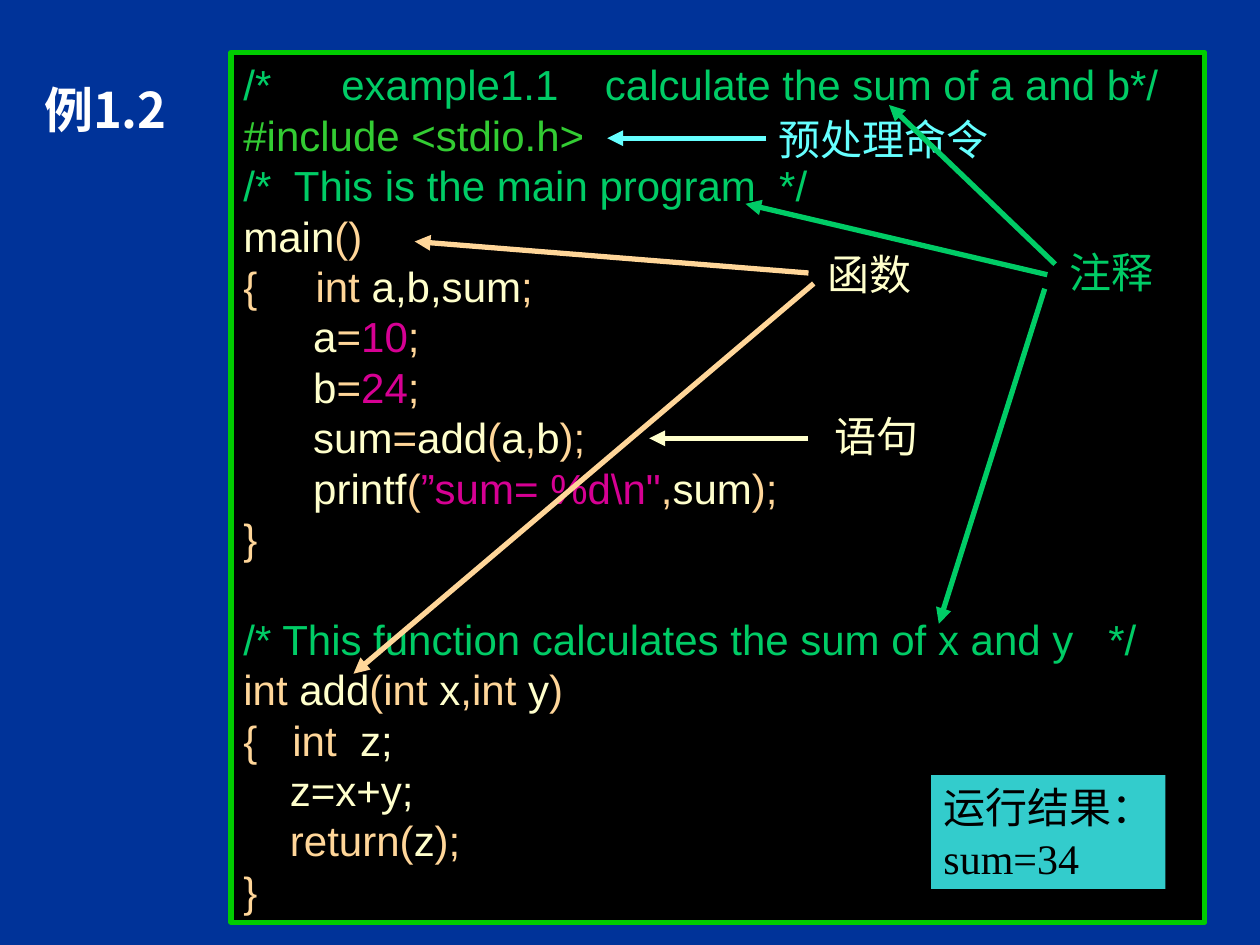
import dataclasses

import pptx
import pptx.dml.color
import pptx.enum.shapes
import pptx.enum.text
import pptx.oxml.ns
import pptx.util
from lxml import etree

Pt = pptx.util.Pt
qn = pptx.oxml.ns.qn
ALIGN = pptx.enum.text.PP_ALIGN


@dataclasses.dataclass(frozen=True)
class Theme:
    background: str = "003399"
    panel: str = "000000"
    frame: str = "00CC00"
    result: str = "33CCCC"
    title: str = "FFFFFF"
    comment: str = "00CC66"
    include: str = "33CC33"
    name: str = "FFFFCC"
    syntax: str = "FFD699"
    literal: str = "D60093"
    directive: str = "66FFFF"
    ink: str = "000000"
    title_size: int = 28
    body_size: int = 24
    leading: float = 1.2
    line_width: int = 3
    code_font: str = "Arial"
    label_font: str = "Times New Roman"
    cjk_font: str = "Noto Sans CJK SC"


T = Theme()

CODE = [
    [("/*      example1.1    calculate the sum of a and b*/", T.comment)],
    [("#include <stdio.h>", T.include)],
    [("/*  This is the main program  */", T.comment)],
    [("main", T.name), ("()", T.syntax)],
    [("{     int ", T.syntax), ("a,b,sum", T.name), (";", T.syntax)],
    [("      a", T.name), ("=", T.syntax), ("10", T.literal), (";", T.syntax)],
    [("      b", T.name), ("=", T.syntax), ("24", T.literal), (";", T.syntax)],
    [("      sum", T.name), ("=", T.syntax), ("add", T.name), ("(", T.syntax),
     ("a", T.name), (",", T.syntax), ("b", T.name), (");", T.syntax)],
    [("      printf", T.name), ("(", T.syntax), ("”sum= %d\\n\"", T.literal),
     (",", T.syntax), ("sum", T.name), (");", T.syntax)],
    [("}", T.syntax)],
    [],
    [("/* This function calculates the sum of x and y   */", T.comment)],
    [("int ", T.syntax), ("add", T.name), ("(int ", T.syntax), ("x", T.name),
     (",int ", T.syntax), ("y", T.name), (")", T.syntax)],
    [("{   int ", T.syntax), (" z;", T.name)],
    [("    z=x+y;", T.name)],
    [("    return(", T.syntax), ("z", T.name), (");", T.syntax)],
    [("}", T.syntax)],
]

CALLOUTS = [
    ("函数", (466, 138.5, 62, 36), T.name, T.syntax,
     [(462, 156, 237, 138), (465, 162, 202, 385)]),
    ("语句", (470, 231, 62, 36), T.name, T.name,
     [(462, 250.5, 371, 250.5)]),
    ("预处理命令", (438, 61, 134, 36), T.directive, T.directive,
     [(438, 79, 347, 79)]),
    ("注释", (604, 137.5, 62, 36), T.comment, T.comment,
     [(603, 151, 508, 60), (598.5, 157, 426, 116.5), (597, 165, 536.5, 356.5)]),
]


def rgb(value):
    return pptx.dml.color.RGBColor.from_string(value)


def write(sp, lines, size=T.body_size, font=T.label_font, bold=False,
          align=ALIGN.LEFT, wrap=True):
    tf = sp.text_frame
    tf.word_wrap = wrap
    tf.auto_size = pptx.enum.text.MSO_AUTO_SIZE.NONE
    tf.vertical_anchor = pptx.enum.text.MSO_ANCHOR.MIDDLE
    tf.margin_left = tf.margin_right = Pt(7.2)
    tf.margin_top = tf.margin_bottom = Pt(3.6)
    for i, runs in enumerate(lines):
        p = tf.paragraphs[0] if i == 0 else tf.add_paragraph()
        p.alignment = align
        p.line_spacing = Pt(size * T.leading)
        p.space_before = p.space_after = Pt(0)
        p.font.size = Pt(size)
        for text, color in runs:
            r = p.add_run()
            r.text = text
            r.font.size = Pt(size)
            r.font.name = font
            r.font.bold = bold
            r.font.color.rgb = rgb(color)
            latin = r.font._element.find(qn("a:latin"))
            ea = etree.Element(qn("a:ea"), typeface=T.cjk_font)
            latin.addnext(ea)


def add_title(s, text, box):
    sp = s.shapes.title
    sp.left, sp.top, sp.width, sp.height = map(Pt, box)
    write(sp, [[(text, T.title)]], size=T.title_size, font=T.cjk_font, bold=True)


def add_panel(s, box, fill, line=None):
    sp = s.shapes.add_shape(pptx.enum.shapes.MSO_SHAPE.RECTANGLE, *map(Pt, box))
    sp.shadow.inherit = False
    sp.fill.solid()
    sp.fill.fore_color.rgb = rgb(fill)
    if line:
        sp.line.color.rgb = rgb(line)
        sp.line.width = Pt(T.line_width)
    else:
        sp.line.fill.background()
    return sp


def add_arrow(s, ends, color):
    cx = s.shapes.add_connector(pptx.enum.shapes.MSO_CONNECTOR.STRAIGHT,
                                *map(Pt, ends))
    cx.line.color.rgb = rgb(color)
    cx.line.width = Pt(T.line_width)
    etree.SubElement(cx.line._get_or_add_ln(), qn("a:tailEnd"), type="triangle")
    etree.SubElement(cx._element.spPr, qn("a:effectLst"))


def add_callout(s, text, box, color, arrow_color, arrows):
    sp = s.shapes.add_textbox(*map(Pt, box))
    write(sp, [[(text, color)]], align=ALIGN.CENTER, wrap=False)
    for ends in arrows:
        add_arrow(s, ends, arrow_color)


def main():
    prs = pptx.Presentation()
    prs.slide_width, prs.slide_height = Pt(720), Pt(540)
    s = prs.slides.add_slide(prs.slide_layouts.get_by_name("Title Only"))
    s.background.fill.solid()
    s.background.fill.fore_color.rgb = rgb(T.background)

    add_title(s, "例1.2", (18, 42, 100, 41))
    code = add_panel(s, (132, 30, 556.5, 497), T.panel, T.frame)
    write(code, CODE, font=T.code_font)
    result = add_panel(s, (532, 443, 134, 65), T.result)
    write(result, [[("运行结果：", T.ink)], [("sum=34", T.ink)]], wrap=False)
    for callout in CALLOUTS:
        add_callout(s, *callout)

    prs.save("out.pptx")


if __name__ == "__main__":
    main()
